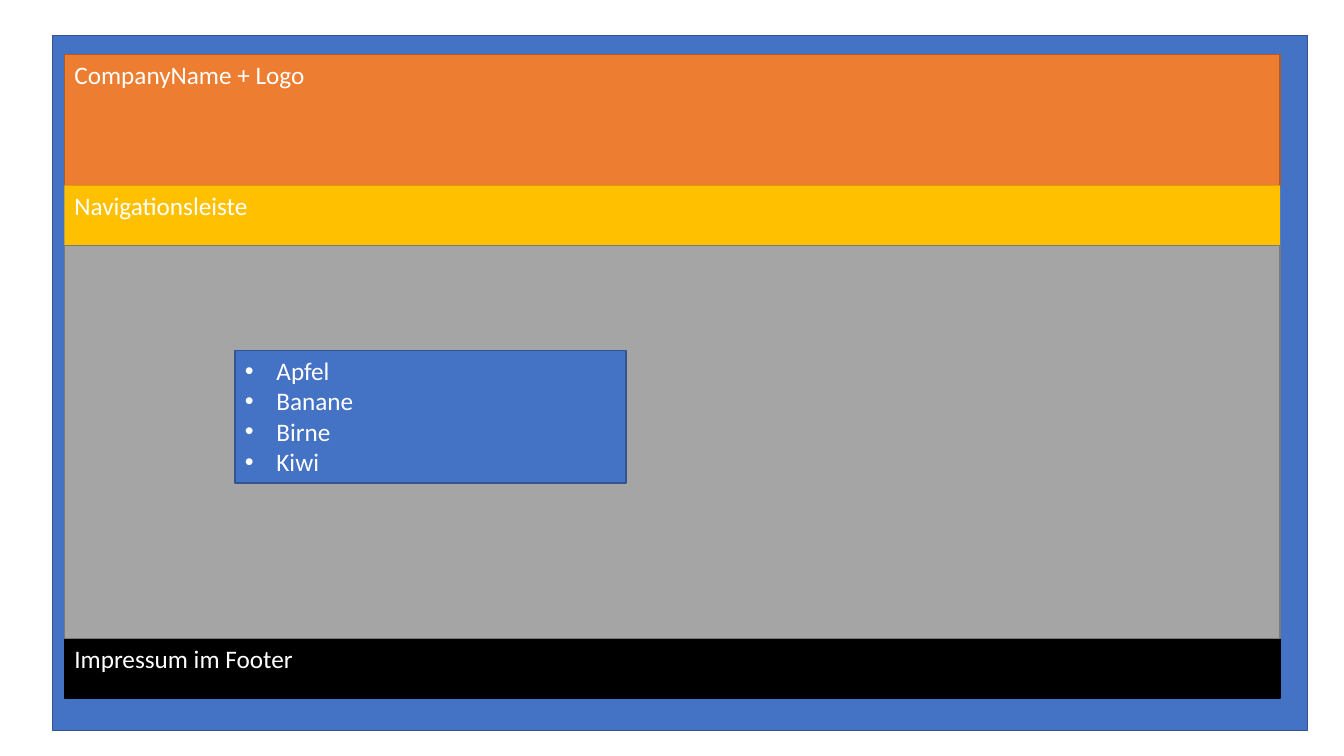
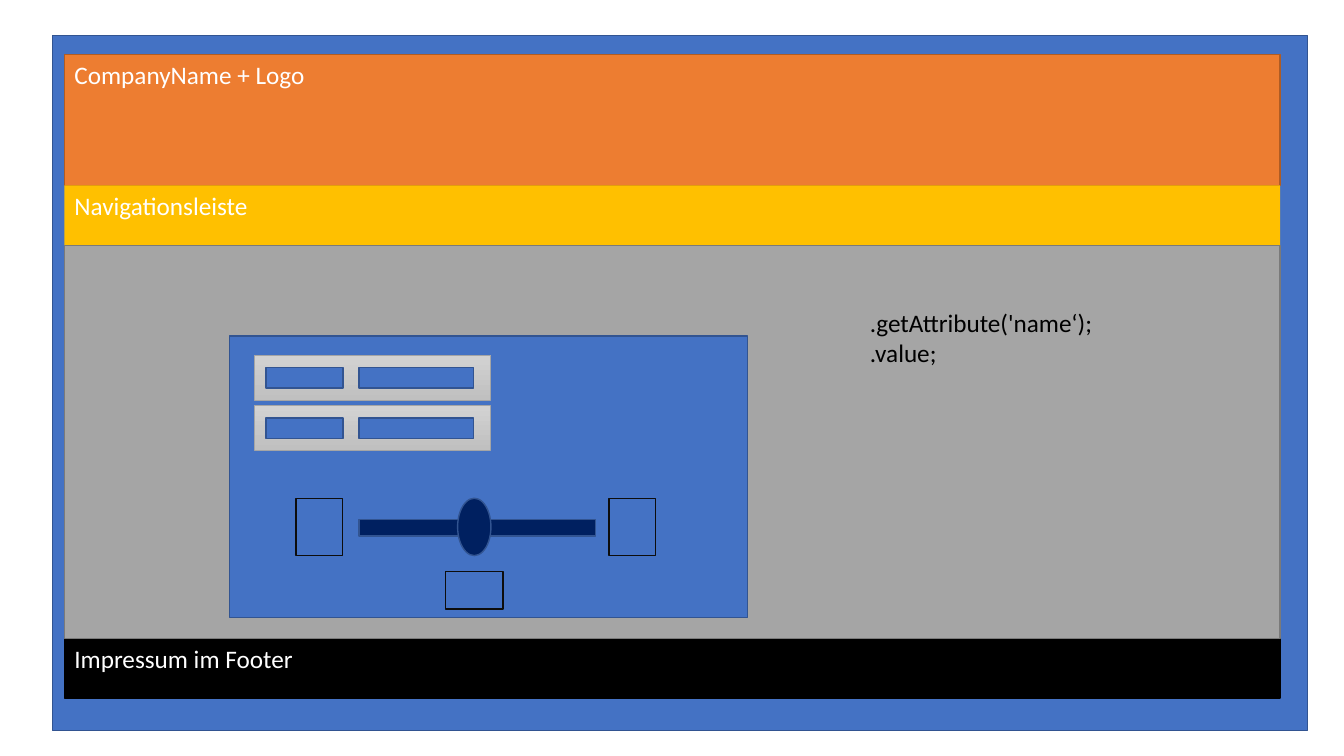
from pptx import Presentation
from pptx.dml.color import RGBColor
from pptx.enum.shapes import MSO_SHAPE
from pptx.enum.text import MSO_ANCHOR, MSO_AUTO_SIZE, PP_ALIGN
from pptx.util import Pt
from lxml.etree import SubElement
from pptx.oxml.ns import qn

BLUE, EDGE, NAVY = "4472C4", "325491", "002060"
WHITE, BLACK, INK = "FFFFFF", "000000", "0D0D0D"
GRAY = "A5A5A5"


def color(code):
    return RGBColor.from_string(code)


class Deck:
    font = "Calibri"
    size = 18
    indent = 22.5

    def __init__(self):
        self.show = Presentation()
        self.show.slide_width = Pt(960)
        self.show.slide_height = Pt(540)
        self.slide = None

    def start(self):
        self.slide = self.show.slides.add_slide(self.show.slide_layouts[6])

    def box(self, x, y, w, h, fill=BLUE, line=EDGE, width=1,
            kind=MSO_SHAPE.RECTANGLE):
        shape = self.slide.shapes.add_shape(kind, Pt(x), Pt(y), Pt(w), Pt(h))
        shape.shadow.inherit = False
        shape.fill.solid()
        shape.fill.fore_color.rgb = color(fill)
        if line:
            shape.line.color.rgb = color(line)
            shape.line.width = Pt(width)
        else:
            shape.line.fill.background()
        return shape

    def fade(self, shape, top, low):
        shape.fill.gradient()
        shape.fill.gradient_angle = 270
        for stop, code in zip(shape.fill.gradient_stops, (top, low)):
            stop.color.rgb = color(code)

    def label(self, shape, lines, ink=WHITE, bullet=False, grow=False):
        frame = shape.text_frame
        frame.word_wrap = True
        frame.vertical_anchor = MSO_ANCHOR.TOP
        if grow:
            frame.auto_size = MSO_AUTO_SIZE.SHAPE_TO_FIT_TEXT
        for i, line in enumerate(lines):
            para = frame.add_paragraph() if i else frame.paragraphs[0]
            para.alignment = PP_ALIGN.LEFT
            if bullet:
                self.dot(para)
            run = para.add_run()
            run.text = line
            run.font.name = self.font
            run.font.size = Pt(self.size)
            run.font.color.rgb = color(ink)

    def dot(self, para):
        props = para._p.get_or_add_pPr()
        props.set("marL", str(Pt(self.indent)))
        props.set("indent", str(-Pt(self.indent)))
        SubElement(props, qn("a:buFont")).set("typeface", "Arial")
        SubElement(props, qn("a:buChar")).set("char", "•")

    def note(self, x, y, w, h, lines):
        shape = self.slide.shapes.add_textbox(Pt(x), Pt(y), Pt(w), Pt(h))
        self.label(shape, lines, BLACK, grow=True)

    def page(self):
        self.start()
        self.box(37.4, 25.2, 896.4, 496.8)
        bands = [
            (38.9, 93.6, "ED7D31", "AF5C24", "CompanyName + Logo"),
            (132.5, 42.7, "FFC000", None, "Navigationsleiste"),
            (456, 42.7, BLACK, BLACK, "Impressum im Footer"),
            (175.5, 280.5, GRAY, "7A7A7A", None),
        ]
        for y, h, fill, line, text in bands:
            band = self.box(46.1, y, 868.3, h, fill, line)
            if text:
                self.label(band, [text])

    def field(self, y):
        panel = self.box(181.4, y, 169.2, 32, line=GRAY, width=0.5)
        self.fade(panel, "D2D2D2", "C0C0C0")
        for x, w in ((190, 55), (256.3, 82)):
            self.box(x, y + 9, w, 14.4)

    def slider(self):
        self.box(256.3, 371.3, 169.2, 11.5, NAVY)
        self.box(326.9, 355.9, 23.8, 41, NAVY, kind=MSO_SHAPE.OVAL)
        for x in (211.5, 435):
            self.box(x, 355.9, 33.3, 41, line=INK)
        self.box(318.3, 408.2, 41, 26.8, line=INK)


deck = Deck()

deck.page()
fruit = deck.box(167.9, 250.4, 279.2, 94.5)
deck.label(fruit, ["Apfel", "Banane", "Birne", "Kiwi"], bullet=True, grow=True)

deck.page()
deck.box(164, 240, 370, 201)
for y in (253.7, 289.7):
    deck.field(y)
deck.slider()
deck.note(614.2, 216, 245.5, 51, [".getAttribute('name‘);", ".value;"])

deck.show.save("out.pptx")
